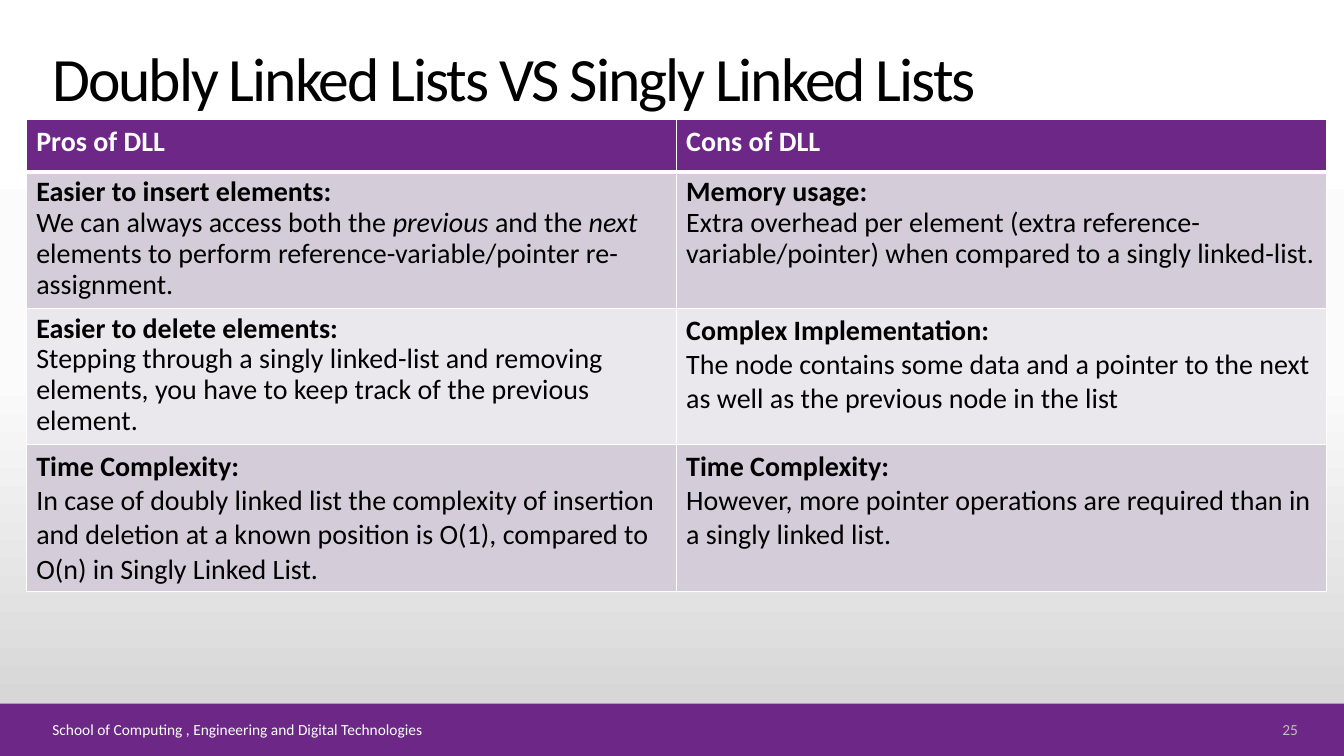
from copy import deepcopy

from lxml.etree import SubElement
from pptx import Presentation
from pptx.dml.color import RGBColor
from pptx.enum.shapes import MSO_SHAPE as Shape
from pptx.enum.text import MSO_ANCHOR as Anchor, PP_ALIGN as Align
from pptx.oxml.ns import qn
from pptx.util import Cm, Pt

# Content: a cell is (line spacing, heading, body runs); every second body run is italic
TITLE = "Doubly Linked Lists VS Singly Linked Lists"
FOOTER = "School of Computing , Engineering and Digital Technologies"
PAGE_NUMBER = "25"
ROWS = [
    [(1.0, "Pros of DLL", []), (1.0, "Cons of DLL", [])],
    [
        (0.9, "Easier to insert elements:",
         ["We can always access both the ", "previous", " and the ", "next",
          " elements to perform reference-variable/pointer re-assignment."]),
        (0.9, "Memory usage:",
         ["Extra overhead per element (extra reference-variable/pointer) "
          "when compared to a singly linked-list."]),
    ],
    [
        (0.9, "Easier to delete elements:",
         ["Stepping through a singly linked-list and removing elements, "
          "you have to keep track of the previous element."]),
        (1.0, "Complex Implementation:",
         ["The node contains some data and a pointer to the next "
          "as well as the previous node in the list"]),
    ],
    [
        (1.0, "Time Complexity:",
         ["In case of doubly linked list the complexity of insertion and deletion "
          "at a known position is O(1), compared to O(n) in Singly Linked List."]),
        (1.0, "Time Complexity:",
         ["However, more pointer operations are required than in a singly linked list."]),
    ],
]

# Format values, lengths in centimetres
SLIDE_WIDTH, SLIDE_HEIGHT = 33.87, 19.05
BAR_HEIGHT = 1.32
TABLE_LEFT, TABLE_TOP, COLUMN_WIDTH = 0.66, 3.02, 16.38
ROW_HEIGHTS = [1.32, 3.43, 3.43, 3.0]
TEXT_LEFT, FOOTER_TOP, FOOTER_HEIGHT = 1.07, 18.08, 0.58
PURPLE, WHITE, BLACK, GREY = "6C2787", "FFFFFF", "000000", "BFBFBF"
BANDS = ["D4CDD9", "EBE8ED"]
BACKGROUND = [(0, "FFFFFF"), (0.5, "FBFBFB"), (1, "D1D1D1")]
TITLE_FONT = {"name": "Calibri", "size": Pt(44)}
FOOTER_FONT = {"name": "Calibri", "size": Pt(11)}
CELL_FONT = {"name": "Calibri", "size": Pt(20)}


def colour(target, value):
    target.rgb = RGBColor.from_string(value)


def paint(fill, value):
    fill.solid()
    colour(fill.fore_color, value)


def add_run(paragraph, text, font_values, text_colour):
    run = paragraph.add_run()
    run.text = text
    for name, value in font_values.items():
        setattr(run.font, name, value)
    colour(run.font.color, text_colour)
    return run


def add_text(slide, box, text, font_values, text_colour, anchor=Anchor.MIDDLE, **layout):
    frame = slide.shapes.add_textbox(*map(Cm, box)).text_frame
    frame.word_wrap = True
    frame.vertical_anchor = anchor
    paragraph = frame.paragraphs[0]
    for name, value in layout.items():
        setattr(paragraph, name, value)
    return add_run(paragraph, text, font_values, text_colour)


def paint_background(slide):
    fill = slide.background.fill
    fill.gradient()
    fill.gradient_angle = 270
    stop_list = slide.element.find(".//" + qn("a:gsLst"))
    stop_list.append(deepcopy(stop_list[0]))
    for stop, (position, value) in zip(fill.gradient_stops, BACKGROUND):
        stop.position = position
        colour(stop.color, value)


def add_borders(cell, bottom_width):
    properties = cell._tc.get_or_add_tcPr()
    widths = {"a:lnL": 1, "a:lnR": 1, "a:lnT": 1, "a:lnB": bottom_width}
    for index, (tag, width) in enumerate(widths.items()):
        line = SubElement(properties, qn(tag), w=str(Pt(width)))
        SubElement(SubElement(line, qn("a:solidFill")), qn("a:srgbClr"), val=WHITE)
        properties.insert(index, line)


def fill_cell(cell, content, text_colour):
    spacing, heading, body = content
    frame = cell.text_frame
    paragraph = frame.paragraphs[0]
    paragraph.line_spacing = spacing
    add_run(paragraph, heading, {**CELL_FONT, "bold": True}, text_colour)
    if body:
        paragraph = frame.add_paragraph()
        paragraph.line_spacing = spacing
    for index, text in enumerate(body):
        values = {**CELL_FONT, "bold": False, "italic": index % 2 == 1}
        add_run(paragraph, text, values, text_colour)


def add_comparison(slide):
    columns = len(ROWS[0])
    box = (TABLE_LEFT, TABLE_TOP, columns * COLUMN_WIDTH, sum(ROW_HEIGHTS))
    table = slide.shapes.add_table(len(ROWS), columns, *map(Cm, box)).table
    for column in table.columns:
        column.width = Cm(COLUMN_WIDTH)
    for row_index, (row, height) in enumerate(zip(ROWS, ROW_HEIGHTS)):
        table.rows[row_index].height = Cm(height)
        is_header = row_index == 0
        for column_index, content in enumerate(row):
            cell = table.cell(row_index, column_index)
            paint(cell.fill, PURPLE if is_header else BANDS[(row_index - 1) % 2])
            add_borders(cell, 3 if is_header else 1)
            fill_cell(cell, content, WHITE if is_header else BLACK)


def main():
    presentation = Presentation()
    presentation.slide_width = Cm(SLIDE_WIDTH)
    presentation.slide_height = Cm(SLIDE_HEIGHT)
    slide = presentation.slides.add_slide(presentation.slide_layouts[6])
    paint_background(slide)

    # Footer bar
    bar_box = (0, SLIDE_HEIGHT - BAR_HEIGHT, SLIDE_WIDTH, BAR_HEIGHT)
    bar = slide.shapes.add_shape(Shape.RECTANGLE, *map(Cm, bar_box))
    bar.shadow.inherit = False
    paint(bar.fill, PURPLE)
    bar.line.fill.background()

    add_comparison(slide)

    # Title and footer texts
    title = add_text(slide, (TEXT_LEFT, 0.81, 26.04, 2.21), TITLE, TITLE_FONT, BLACK,
                     Anchor.BOTTOM, line_spacing=0.9)
    title.font._element.set("spc", "-150")
    add_text(slide, (TEXT_LEFT, FOOTER_TOP, 29.59, FOOTER_HEIGHT), FOOTER, FOOTER_FONT, WHITE)
    add_text(slide, (31.06, FOOTER_TOP, 1.9, FOOTER_HEIGHT), PAGE_NUMBER, FOOTER_FONT, GREY,
             alignment=Align.RIGHT)

    presentation.save("out.pptx")


if __name__ == "__main__":
    main()
